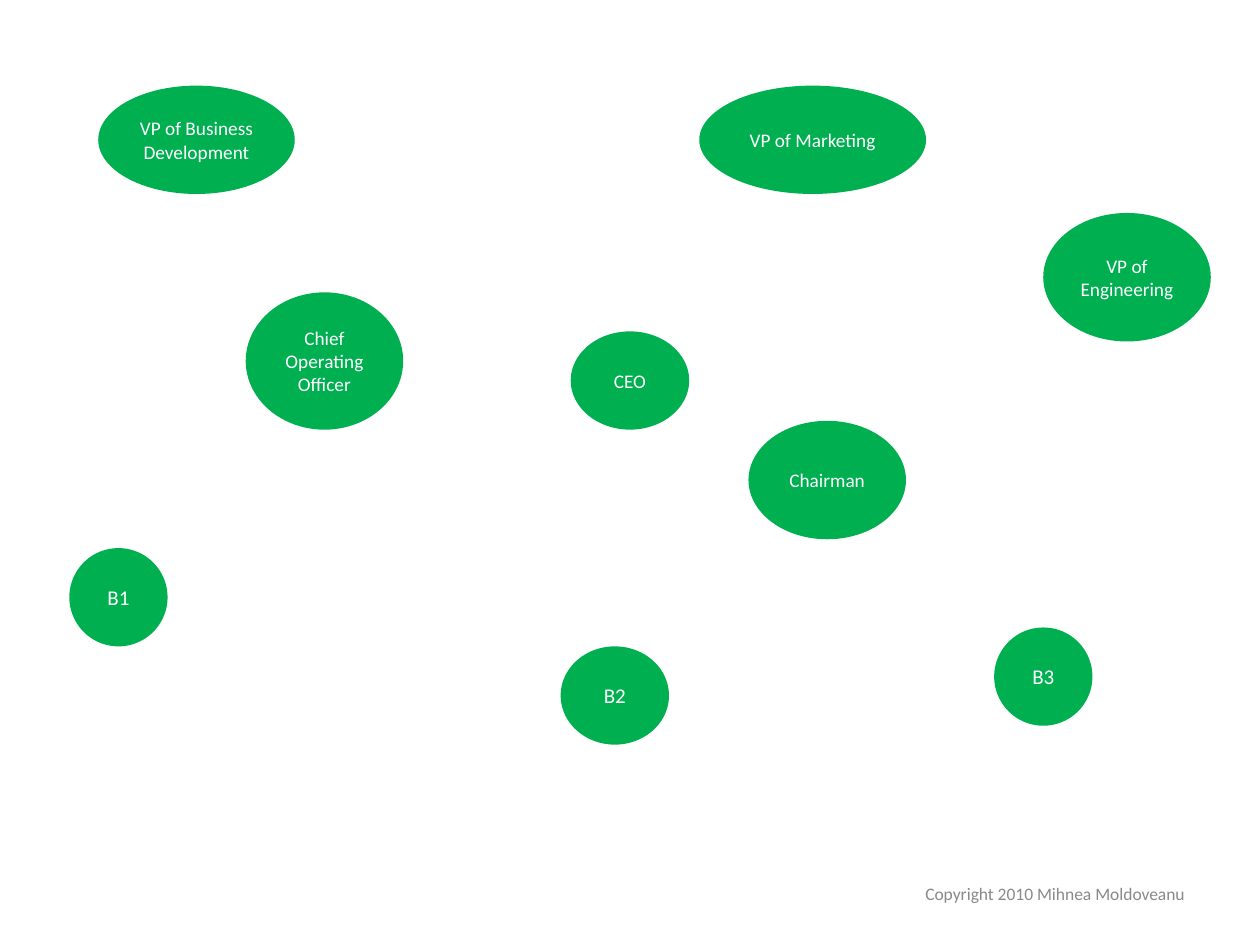
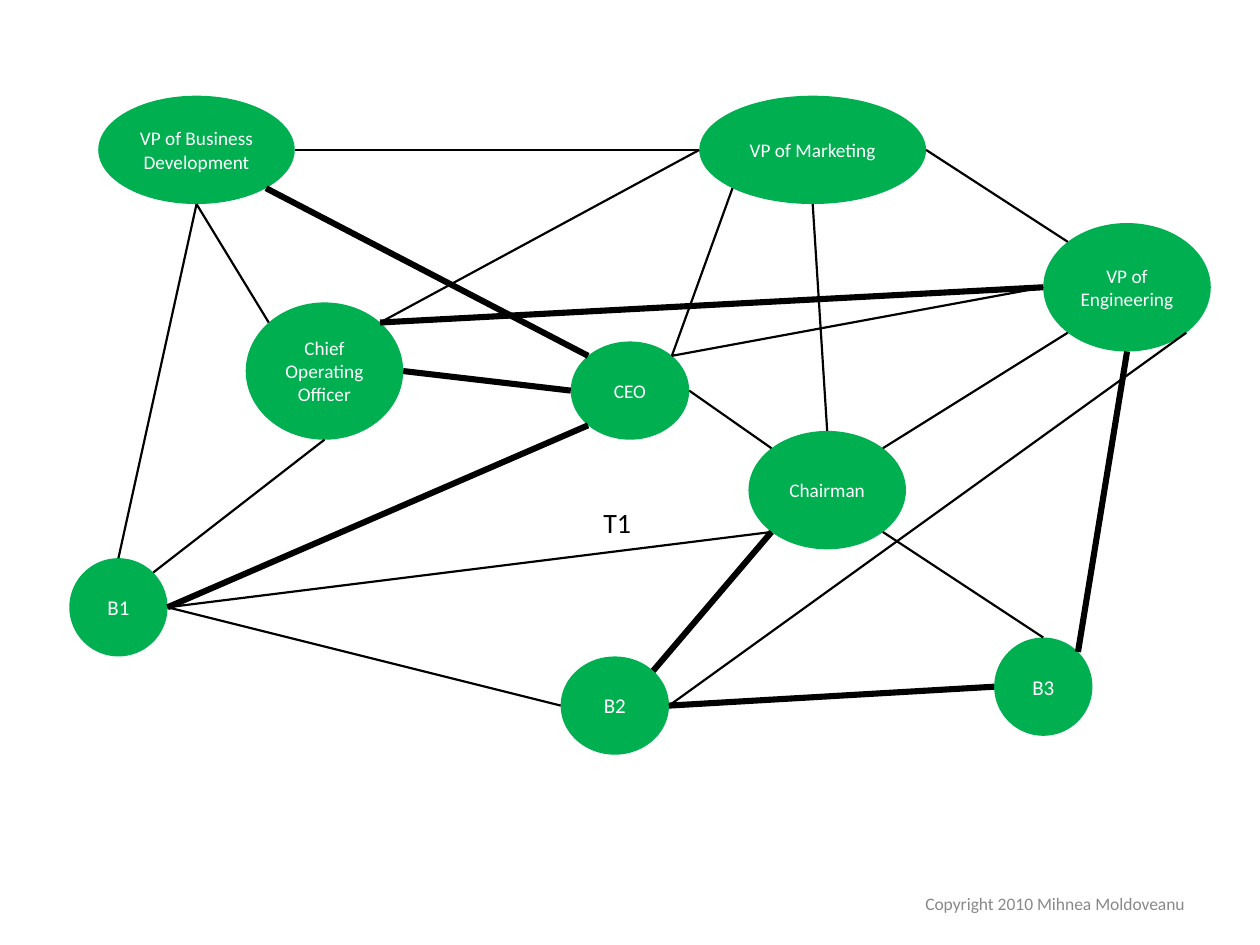
from math import sqrt
from lxml.etree import SubElement
from pptx import Presentation
from pptx.dml.color import RGBColor
from pptx.enum.shapes import MSO_CONNECTOR, MSO_SHAPE
from pptx.enum.text import MSO_ANCHOR, PP_ALIGN
from pptx.oxml.ns import qn
from pptx.util import Inches, Pt

COLORS = {"node": "00B050", "label": "FFFFFF", "line": "000000", "footer": "898989"}
FONT = "Calibri"
THIN, THICK = 1.25, 3.5

# People: name -> label, left, top, width, height, text size
PEOPLE = {
    "coo": ("Chief Operating Officer", 1.95, 2.32, 1.25, 1.09, 11),
    "ceo": ("CEO", 4.53, 2.63, 0.94, 0.78, 11),
    "chair": ("Chairman", 5.94, 3.34, 1.25, 0.94, 11),
    "market": ("VP of Marketing", 5.55, 0.68, 1.8, 0.86, 11),
    "bizdev": ("VP of Business Development", 0.78, 0.68, 1.56, 0.86, 11),
    "engine": ("VP of Engineering", 8.28, 1.69, 1.33, 1.02, 11),
    "b1": ("B1", 0.55, 4.35, 0.78, 0.78, 12),
    "b2": ("B2", 4.45, 5.13, 0.86, 0.78, 12),
    "b3": ("B3", 7.89, 4.98, 0.78, 0.78, 12),
}

# Points on an ellipse, as steps from its centre in half widths and heights
D = sqrt(0.5)
SIDES = {
    "top": (0, -1), "left": (-1, 0), "bottom": (0, 1), "right": (1, 0),
    "nw": (-D, -D), "ne": (D, -D), "sw": (-D, D), "se": (D, D),
}

# Ties: person, side, person, side, line width
TIES = [
    ("bizdev", "bottom", "coo", "nw", THIN),
    ("bizdev", "right", "market", "left", THIN),
    ("bizdev", "bottom", "b1", "top", THIN),
    ("coo", "bottom", "b1", "ne", THIN),
    ("b1", "right", "b2", "left", THIN),
    ("market", "sw", "ceo", "ne", THIN),
    ("ceo", "right", "chair", "nw", THIN),
    ("market", "right", "engine", "nw", THIN),
    ("engine", "sw", "chair", "ne", THIN),
    ("engine", "se", "b2", "right", THIN),
    ("chair", "se", "b3", "top", THIN),
    ("market", "left", "coo", "ne", THIN),
    ("market", "bottom", "chair", "top", THIN),
    ("b1", "right", "chair", "sw", THIN),
    ("ceo", "ne", "engine", "left", THIN),
    ("b2", "right", "b3", "left", THICK),
    ("engine", "bottom", "b3", "ne", THICK),
    ("ceo", "sw", "b1", "right", THICK),
    ("b2", "ne", "chair", "sw", THICK),
    ("coo", "right", "ceo", "left", THICK),
    ("coo", "ne", "engine", "left", THICK),
    ("bizdev", "se", "ceo", "nw", THICK),
]


def write(shape, text, size, color, align, anchor=MSO_ANCHOR.MIDDLE, wrap=True):
    frame = shape.text_frame
    frame.word_wrap = wrap
    frame.vertical_anchor = anchor
    para = frame.paragraphs[0]
    para.text = text
    para.alignment = align
    para.font.name = FONT
    para.font.size = Pt(size)
    para.font.color.rgb = RGBColor.from_string(COLORS[color])


def point(node, side):
    dx, dy = SIDES[side]
    return (round(node.left + node.width * (1 + dx) / 2),
            round(node.top + node.height * (1 + dy) / 2))


deck = Presentation()
deck.slide_width, deck.slide_height = Inches(10), Inches(7.5)

# The second slide sits a little lower and adds the ties
for drop, ties in [(0, []), (0.08, TIES)]:
    slide = deck.slides.add_slide(deck.slide_layouts[6])
    shapes = slide.shapes

    # Footer
    footer = shapes.add_textbox(Inches(7.17), Inches(6.89 + drop), Inches(2.33), Inches(0.4))
    write(footer, "Copyright 2010 Mihnea Moldoveanu", 10, "footer", PP_ALIGN.RIGHT)

    # People
    nodes = {}
    for name, (label, left, top, width, height, size) in PEOPLE.items():
        node = shapes.add_shape(MSO_SHAPE.OVAL, Inches(left), Inches(top + drop),
                                Inches(width), Inches(height))
        node.shadow.inherit = False
        node.fill.solid()
        node.fill.fore_color.rgb = RGBColor.from_string(COLORS["node"])
        node.line.fill.background()
        write(node, label, size, "label", PP_ALIGN.CENTER)
        nodes[name] = node

    # Ties
    for start, out, end, into, weight in ties:
        tie = shapes.add_connector(MSO_CONNECTOR.STRAIGHT, *point(nodes[start], out),
                                   *point(nodes[end], into))
        tie.line.width = Pt(weight)
        tie.line.color.rgb = RGBColor.from_string(COLORS["line"])
        SubElement(tie._element.spPr, qn("a:effectLst"))

# Time mark on the last slide
mark = shapes.add_textbox(Inches(4.69), Inches(3.96), Inches(0.42), Inches(0.37))
write(mark, "T1", 16, "line", PP_ALIGN.LEFT, MSO_ANCHOR.TOP, False)

deck.save("out.pptx")
